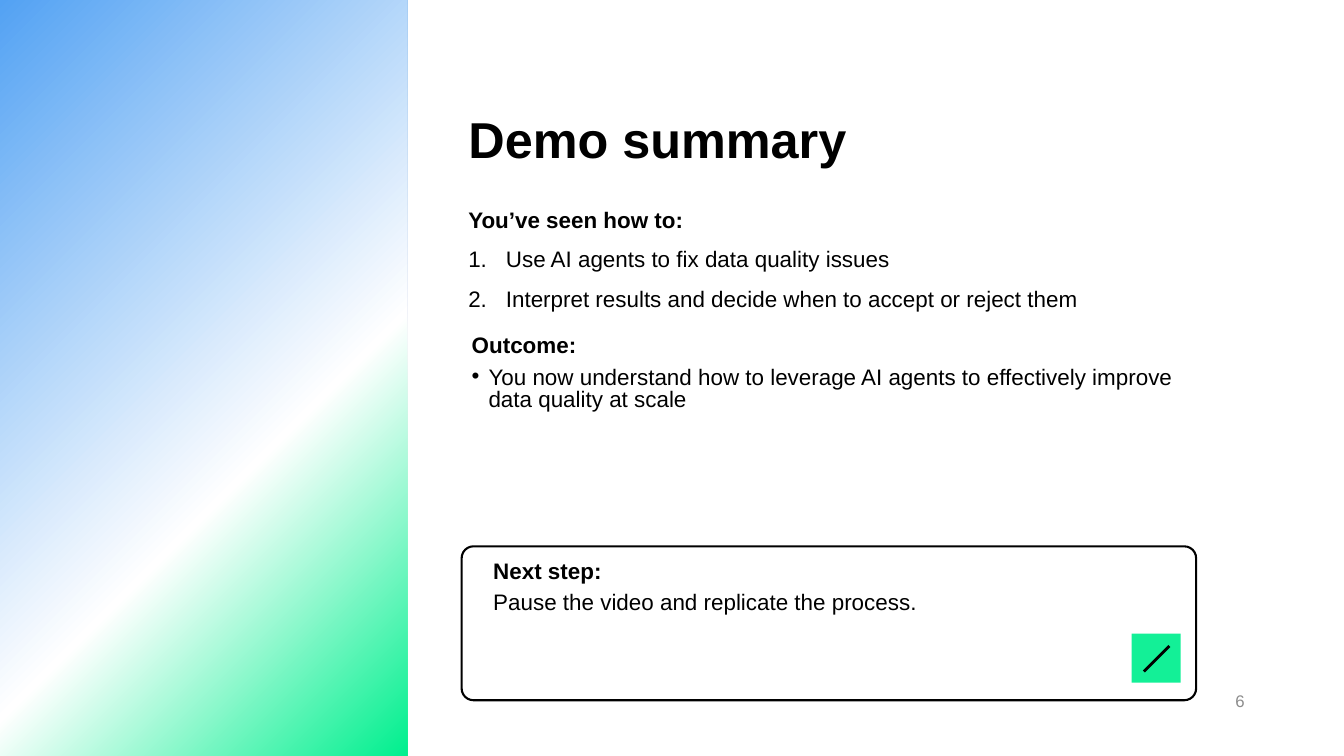
from dataclasses import dataclass

from lxml import etree
from pptx import Presentation
from pptx import util as u
from pptx.dml.color import RGBColor
from pptx.enum import shapes, text
from pptx.oxml import ns

COLUMNS, ROWS = 20, 11.25  # grid cells are one inch square


@dataclass(frozen=True)
class Theme:
    font: str = "Arial"
    ink: str = "000000"
    paper: str = "FFFFFF"
    muted: str = "8C8C8C"
    badge: str = "13F097"
    gradient: tuple = ((0, "00EF8E"), (38, "FFFFFF"), (100, "53A2F3"))
    title: int = 54
    body: int = 24
    number: int = 18


THEME = Theme()


def cells(*counts):
    return [u.Inches(count) for count in counts]


def add_child(parent, tag, **attributes):
    return etree.SubElement(parent, ns.qn(tag), attributes)


def style_runs(para, size, color=THEME.ink, bold=False):
    for span in para.runs:
        span.font.name = THEME.font
        span.font.size = u.Pt(size)
        span.font.bold = bold
        span.font.color.rgb = RGBColor.from_string(color)


def add_bullet(para, marker, indent):
    """Hang a marker in front of the paragraph; "1." stands for numbering."""
    properties = para._p.get_or_add_pPr()
    properties.set("marL", str(u.Inches(indent)))
    properties.set("indent", str(-u.Inches(indent)))
    add_child(add_child(properties, "a:buClr"), "a:srgbClr", val=THEME.ink)
    add_child(properties, "a:buFont", typeface=THEME.font)
    if marker == "1.":
        add_child(properties, "a:buAutoNum", type="arabicPeriod")
    else:
        add_child(properties, "a:buChar", char=marker)


def add_shape(parent, kind, box, fill, outline=None):
    shape = parent.shapes.add_shape(kind, *cells(*box))
    shape.shadow.inherit = False
    shape.fill.solid()
    shape.fill.fore_color.rgb = RGBColor.from_string(fill)
    if outline:
        shape.line.color.rgb = RGBColor.from_string(THEME.ink)
        shape.line.width = u.Pt(outline)
    else:
        shape.line.fill.background()
    return shape


def add_text(page, box, heading, lines, leading, gap, margins, marker=None, indent=0):
    """Place a bold heading followed by plain or bulleted lines."""
    frame = page.shapes.add_textbox(*cells(*box)).text_frame
    frame.word_wrap = True
    frame.margin_left = frame.margin_right = u.Inches(margins[0])
    frame.margin_top = frame.margin_bottom = u.Inches(margins[1])
    frame.text = "\n".join([heading, *lines])
    for index, para in enumerate(frame.paragraphs):
        para.line_spacing = u.Pt(leading)
        if index:
            para.space_before = u.Pt(gap)
            if marker:
                add_bullet(para, marker, indent)
        style_runs(para, THEME.body, bold=index == 0)


def add_side_panel(page, box):
    panel = add_shape(page, shapes.MSO_SHAPE.RECTANGLE, box, THEME.paper)
    # Radial gradient with its focus in the lower right corner
    solid = panel._element.spPr.find(ns.qn("a:solidFill"))
    gradient = etree.Element(ns.qn("a:gradFill"), rotWithShape="1")
    stops = add_child(gradient, "a:gsLst")
    for position, color in THEME.gradient:
        stop = add_child(stops, "a:gs", pos=str(position * 1000))
        add_child(stop, "a:srgbClr", val=color)
    add_child(add_child(gradient, "a:path", path="circle"), "a:fillToRect", l="100000", t="100000")
    solid.getparent().replace(solid, gradient)


def add_title(page, box, wording):
    title = page.shapes.title
    title.left, title.top, title.width, title.height = cells(*box)
    frame = title.text_frame
    frame.text = wording
    frame.vertical_anchor = text.MSO_ANCHOR.MIDDLE
    para = frame.paragraphs[0]
    para.alignment = text.PP_ALIGN.LEFT
    para.line_spacing = 0.9
    style_runs(para, THEME.title, bold=True)


def add_badge(page, box):
    left, top, side, _ = box
    badge = page.shapes.add_group_shape()
    add_shape(badge, shapes.MSO_SHAPE.RECTANGLE, box, THEME.badge)
    near, far = side * 0.25, side * 0.77
    stroke = badge.shapes.add_connector(
        shapes.MSO_CONNECTOR.STRAIGHT,
        *cells(left + far, top + near, left + near, top + far))
    stroke.line.color.rgb = RGBColor.from_string(THEME.ink)
    stroke.line.width = u.Pt(3)
    add_child(stroke._element.spPr, "a:effectLst")


def add_next_step(page, box):
    left, top, width, height = box
    card = add_shape(page, shapes.MSO_SHAPE.ROUNDED_RECTANGLE, box, THEME.paper, 2.25)
    card.adjustments[0] = 0.077
    add_text(page, (left + 0.32, top + 0.15, width * 0.8, height - 0.32), "Next step:",
             ["Pause the video and replicate the process."], 24, 10, (0.15, 0.07))
    side = 0.73
    add_badge(page, (left + width - side - 0.23, top + height - side - 0.26, side, side))


def add_page_number(page, box, number):
    frame = page.shapes.add_textbox(*cells(*box)).text_frame
    frame.word_wrap = True
    frame.text = number
    frame.vertical_anchor = text.MSO_ANCHOR.MIDDLE
    frame.paragraphs[0].alignment = text.PP_ALIGN.RIGHT
    style_runs(frame.paragraphs[0], THEME.number, THEME.muted)


def add_summary_slide(deck):
    page = deck.slides.add_slide(deck.slide_layouts[5])
    left, width = 6.87, 10.93
    add_side_panel(page, (0, 0, 6.06, ROWS))
    add_title(page, (left, 1.32, width, 1.59), "Demo summary")
    add_page_number(page, (14.12, 10.13, 4.5, 0.6), "6")
    # What was shown, and what it leads to
    add_text(page, (left, 2.92, width, 2.85), "You’ve seen how to:",
             ["Use AI agents to fix data quality issues",
              "Interpret results and decide when to accept or reject them"],
             36, 6, (0.1, 0.05), "1.", 0.56)
    add_text(page, (left, 4.92, width, 1.59), "Outcome:",
             ["You now understand how to leverage AI agents to effectively improve "
              "data quality at scale"],
             24, 10, (0.15, 0.07), "•", 0.25)
    add_next_step(page, (left, 8.13, width, 2.29))


def main():
    deck = Presentation()
    deck.slide_width, deck.slide_height = cells(COLUMNS, ROWS)
    add_summary_slide(deck)
    deck.save("out.pptx")


if __name__ == "__main__":
    main()
